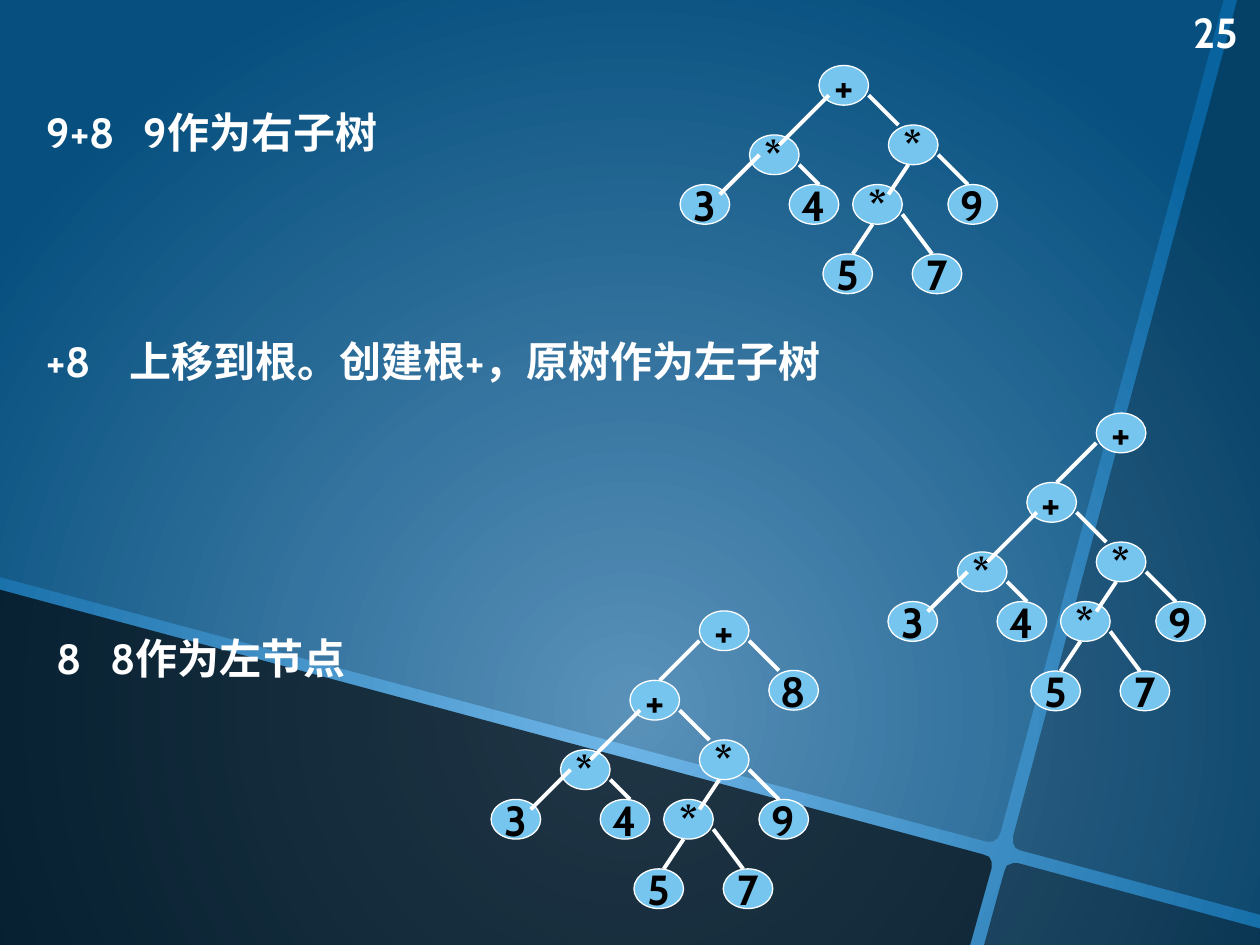
import dataclasses

import pptx
import pptx.dml.color
import pptx.enum.shapes
import pptx.enum.text
import pptx.oxml
import pptx.oxml.ns
import pptx.util
from pptx.util import Inches


def rgb(code):
    return pptx.dml.color.RGBColor.from_string(code)


@dataclasses.dataclass(frozen=True)
class Theme:
    glow: str = "70B6E8"
    edge: str = "08639E"
    panel: str = "000000"
    node: str = "76C5EF"
    light: str = "FFFFFF"
    dark: str = "000000"
    font: str = "Cabin"
    text_size: int = 24
    outline: float = 0.75
    branch: float = 2.25


def write(frame, text, color, frame_format, paragraph_format):
    """Fill a text frame with one bold paragraph and return the paragraph."""
    for key, value in frame_format.items():
        setattr(frame, key, value)
    paragraph = frame.paragraphs[0]
    for key, value in paragraph_format.items():
        setattr(paragraph, key, value)
    run = paragraph.add_run()
    run.text = text
    run.font.color.rgb = rgb(color)
    font_format = {"name": THEME.font, "size": pptx.util.Pt(THEME.text_size), "bold": True}
    for key, value in font_format.items():
        setattr(run.font, key, value)
    return paragraph


THEME = Theme()
A = 'xmlns:a="http://schemas.openxmlformats.org/drawingml/2006/main"'
MIDDLE = pptx.enum.text.MSO_ANCHOR.MIDDLE
CENTER = pptx.enum.text.PP_ALIGN.CENTER

presentation = pptx.Presentation()
presentation.slide_width, presentation.slide_height = Inches(10), Inches(7.5)
slide = presentation.slides.add_slide(presentation.slide_layouts[6])

# Round glow behind everything
background = slide.background.fill
background.gradient()
for stop, color in zip(background.gradient_stops, (THEME.glow, THEME.edge)):
    stop.color.rgb = rgb(color)
gradient = slide.element.find(".//" + pptx.oxml.ns.qn("a:gradFill"))
gradient.remove(gradient.find(pptx.oxml.ns.qn("a:lin")))
gradient.append(pptx.oxml.parse_xml(
    f'<a:path {A} path="circle"><a:fillToRect l="50000" t="50000" r="50000"/></a:path>'))

# Shaded panels: outline points and opacity in percent
panels = [
    ([(0, 0), (9.71, 0), (7.94, 6.61), (7.92, 6.65), (7.88, 6.68), (7.83, 6.68), (0, 4.58)], 20),
    ([(0, 4.68), (7.8, 6.78), (7.85, 6.8), (7.87, 6.84), (7.87, 6.89), (7.7, 7.5), (0, 7.5)], 70),
    ([(8.04, 6.85), (8.08, 6.85), (10, 7.37), (10, 7.5), (7.81, 7.5), (7.97, 6.92),
      (7.99, 6.87)], 50),
    ([(9.82, 0), (10, 0), (10, 7.26), (8.1, 6.75), (8.06, 6.73), (8.04, 6.69), (8.04, 6.64)], 35),
]
for outline, opacity in panels:
    start, *rest = [(Inches(x), Inches(y)) for x, y in outline]
    builder = slide.shapes.build_freeform(*start)
    builder.add_line_segments(rest, close=True)
    panel = builder.convert_to_shape()
    panel.shadow.inherit = False
    panel.fill.solid()
    panel.fill.fore_color.rgb = rgb(THEME.panel)
    panel.line.fill.background()
    shade = panel.element.spPr.find(".//" + pptx.oxml.ns.qn("a:srgbClr"))
    shade.append(pptx.oxml.parse_xml(f'<a:alpha {A} val="{opacity * 1000}"/>'))

page_number = slide.shapes.add_textbox(Inches(9.37), 0, Inches(2.08), Inches(0.5))
write(page_number.text_frame, "25", THEME.light,
      {"word_wrap": True, "vertical_anchor": MIDDLE}, {})

# Steps: remaining input, then what happens to the tree at a tab stop
steps = [
    (0.27, 0.68, 3.62, "9+8", "9作为右子树", 0.77),
    (0.27, 2.49, 8.03, "+8", "上移到根。创建根+，原树作为左子树", 0.66),
    (0.35, 4.85, 3.15, "8", "8作为左节点", 0.43),
]
for left, top, width, remaining, action, tab in steps:
    step = slide.shapes.add_textbox(Inches(left), Inches(top), Inches(width), Inches(0.64))
    paragraph = step.text_frame.paragraphs[0]
    paragraph._p.get_or_add_pPr().append(pptx.oxml.parse_xml(
        f'<a:tabLst {A}><a:tab pos="{Inches(tab)}" algn="l"/></a:tabLst>'))
    write(step.text_frame, f"{remaining}\t{action}", THEME.light,
          {"word_wrap": True}, {"line_spacing": 1.3})

# Expression trees, in grid units of 2 mm from the corner of the "+" of the shared subtree
GRID = 0.2 / 2.54
NODE_WIDTH, NODE_HEIGHT = 5, 4
subtree_nodes = [
    ("+", 0, 0), ("*", -7, 7), ("3", -14, 12), ("4", -3, 12), ("*", 7, 6),
    ("*", 3.4, 12), ("9", 13, 12), ("5", 0.4, 19), ("7", 9.4, 19),
]
subtree_branches = [
    (1, 3, -4, 8), (-6, 9, -10, 13), (-2, 10, 0, 12), (5, 3, 8, 6),
    (9, 10, 7, 13), (12, 9, 15, 12), (5.4, 16, 3.4, 19), (8.4, 15, 11.4, 19),
]
root_nodes, root_branches = [("+", 7, -7)], [(7, -4, 3, 0)]
right_nodes, right_branches = [("8", 14, -1)], [(12, -4, 15, -1)]
trees = [
    (6.5, 0.52, subtree_nodes, subtree_branches),
    (8.15, 3.83, subtree_nodes + root_nodes, subtree_branches + root_branches),
    (5, 5.4, subtree_nodes + root_nodes + right_nodes,
     subtree_branches + root_branches + right_branches),
]
for left, top, nodes, branches in trees:
    tree = slide.shapes.add_group_shape().shapes
    for symbol, x, y in nodes:
        node = tree.add_shape(
            pptx.enum.shapes.MSO_SHAPE.OVAL,
            Inches(left + x * GRID), Inches(top + y * GRID),
            Inches(NODE_WIDTH * GRID), Inches(NODE_HEIGHT * GRID))
        node.shadow.inherit = False
        node.fill.solid()
        node.fill.fore_color.rgb = rgb(THEME.node)
        node.line.color.rgb = rgb(THEME.light)
        node.line.width = pptx.util.Pt(THEME.outline)
        write(node.text_frame, symbol, THEME.dark,
              {"word_wrap": False, "vertical_anchor": MIDDLE}, {"alignment": CENTER})
    for x1, y1, x2, y2 in branches:
        branch = tree.add_connector(
            pptx.enum.shapes.MSO_CONNECTOR.STRAIGHT,
            Inches(left + x1 * GRID), Inches(top + y1 * GRID),
            Inches(left + x2 * GRID), Inches(top + y2 * GRID))
        branch.line.color.rgb = rgb(THEME.light)
        branch.line.width = pptx.util.Pt(THEME.branch)
        branch._element.spPr.append(pptx.oxml.parse_xml(f"<a:effectLst {A}/>"))

presentation.save("out.pptx")
